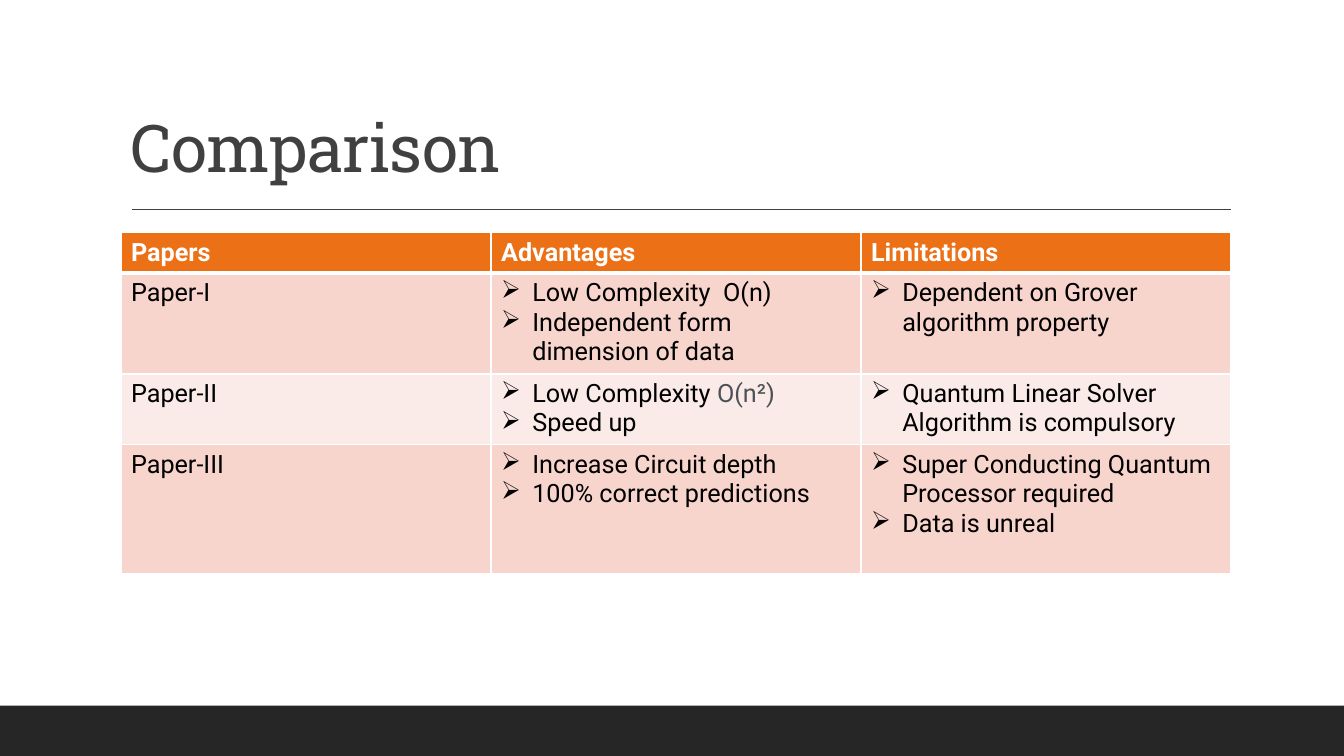
from dataclasses import dataclass

from lxml import etree
from pptx import Presentation
from pptx.dml.color import RGBColor
from pptx.enum.shapes import MSO_CONNECTOR, MSO_SHAPE
from pptx.enum.text import MSO_ANCHOR
from pptx.oxml.ns import qn
from pptx.util import Inches, Pt

STRAIGHT = MSO_CONNECTOR.STRAIGHT
RECTANGLE = MSO_SHAPE.RECTANGLE
BOTTOM = MSO_ANCHOR.BOTTOM

COLORS = {
    "white": "FFFFFF",
    "black": "000000",
    "footer": "262626",
    "title": "404040",
    "header": "EC7016",
    "band_dark": "F8D5CC",
    "band_light": "FBEBE8",
    "formula": "4D5156",
}
COLUMN_WIDTH = 3.67
BULLET_INDENT = Inches(0.31)


@dataclass(frozen=True)
class Span:
    text: str
    color: str = "black"


@dataclass(frozen=True)
class PaperRow:
    name: str
    advantages: list[list[Span]]
    limitations: list[list[Span]]
    fill: str
    height: float


HEADINGS = ["Papers", "Advantages", "Limitations"]
HEADING_HEIGHT = 0.39
PAPERS = [
    PaperRow(
        "Paper-I",
        [[Span("Low Complexity  O(n)")], [Span("Independent form dimension of data")]],
        [[Span("Dependent on Grover algorithm property")]],
        "band_dark",
        0.98,
    ),
    PaperRow(
        "Paper-II",
        [[Span("Low Complexity "), Span("O(n²)", "formula")], [Span("Speed up")]],
        [[Span("Quantum Linear Solver Algorithm is compulsory")]],
        "band_light",
        0.69,
    ),
    PaperRow(
        "Paper-III",
        [[Span("Increase Circuit depth")], [Span("100% correct predictions")]],
        [[Span("Super Conducting Quantum Processor required")], [Span("Data is unreal")]],
        "band_dark",
        1.28,
    ),
]


def rgb(name: str) -> RGBColor:
    return RGBColor.from_string(COLORS[name])


def add_span(para, span: Span, size: float, font: str, bold: bool = False):
    run = para.add_run()
    run.text = span.text
    run.font.size = Pt(size)
    run.font.name = font
    run.font.bold = bold
    run.font.color.rgb = rgb(span.color)
    return run


def add_bullet(para) -> None:
    properties = para._p.get_or_add_pPr()
    properties.set("marL", str(BULLET_INDENT))
    properties.set("indent", str(-BULLET_INDENT))
    etree.SubElement(properties, qn("a:buChar")).set("char", "➢")


def set_borders(cell, top: float, bottom: float) -> None:
    properties = cell._tc.get_or_add_tcPr()
    widths = {"lnL": 1, "lnR": 1, "lnT": top, "lnB": bottom}
    for position, (side, width) in enumerate(widths.items()):
        line = etree.Element(qn(f"a:{side}"), w=str(Pt(width)))
        fill = etree.SubElement(line, qn("a:solidFill"))
        etree.SubElement(fill, qn("a:srgbClr")).set("val", COLORS["white"])
        properties.insert(position, line)


def fill_cell(cell, paragraphs: list[list[Span]], fill: str,
              bold: bool = False, bullets: bool = False) -> None:
    cell.fill.solid()
    cell.fill.fore_color.rgb = rgb(fill)
    frame = cell.text_frame
    for index, spans in enumerate(paragraphs):
        para = frame.add_paragraph() if index else frame.paragraphs[0]
        if bullets:
            add_bullet(para)
        for span in spans:
            add_span(para, span, 18, "Roboto", bold)


def add_footer(page) -> None:
    bar = page.shapes.add_shape(RECTANGLE, Inches(0), Inches(7), Inches(13.33), Inches(0.5))
    bar.shadow.inherit = False
    bar.fill.solid()
    bar.fill.fore_color.rgb = rgb("footer")
    bar.line.fill.background()


def add_rule(page) -> None:
    rule = page.shapes.add_connector(
        STRAIGHT, Inches(1.31), Inches(2.08), Inches(12.21), Inches(2.08))
    rule.line.color.rgb = rgb("title")
    rule.line.width = Pt(1)
    etree.SubElement(rule._element.spPr, qn("a:effectLst"))


def add_title(page) -> None:
    box = page.shapes.add_textbox(Inches(1.2), Inches(0.31), Inches(11), Inches(1.59))
    frame = box.text_frame
    frame.word_wrap = True
    frame.vertical_anchor = BOTTOM
    para = frame.paragraphs[0]
    para.line_spacing = 0.9
    run = add_span(para, Span("Comparison", "title"), 47, "Roboto Slab")
    run.font._element.set("spc", "-50")


def add_comparison(page) -> None:
    heights = [HEADING_HEIGHT] + [paper.height for paper in PAPERS]
    table = page.shapes.add_table(
        len(heights), len(HEADINGS), Inches(1.2), Inches(2.31),
        Inches(COLUMN_WIDTH * len(HEADINGS)), Inches(sum(heights))).table
    table.first_row = False
    table.horz_banding = False
    for column in table.columns:
        column.width = Inches(COLUMN_WIDTH)
    for row, height in zip(table.rows, heights):
        row.height = Inches(height)

    for column, heading in enumerate(HEADINGS):
        fill_cell(table.cell(0, column), [[Span(heading, "white")]], "header", bold=True)
    for row, paper in enumerate(PAPERS, 1):
        fill_cell(table.cell(row, 0), [[Span(paper.name)]], paper.fill)
        for column, points in enumerate([paper.advantages, paper.limitations], 1):
            fill_cell(table.cell(row, column), points, paper.fill, bullets=True)

    for row in range(len(heights)):
        for column in range(len(HEADINGS)):
            set_borders(table.cell(row, column),
                        top=3 if row == 1 else 1, bottom=3 if row == 0 else 1)


def main() -> None:
    deck = Presentation()
    deck.slide_width = Inches(13.33)
    deck.slide_height = Inches(7.5)
    page = deck.slides.add_slide(deck.slide_layouts[6])
    add_footer(page)
    add_rule(page)
    add_title(page)
    add_comparison(page)
    deck.save("out.pptx")


if __name__ == "__main__":
    main()
